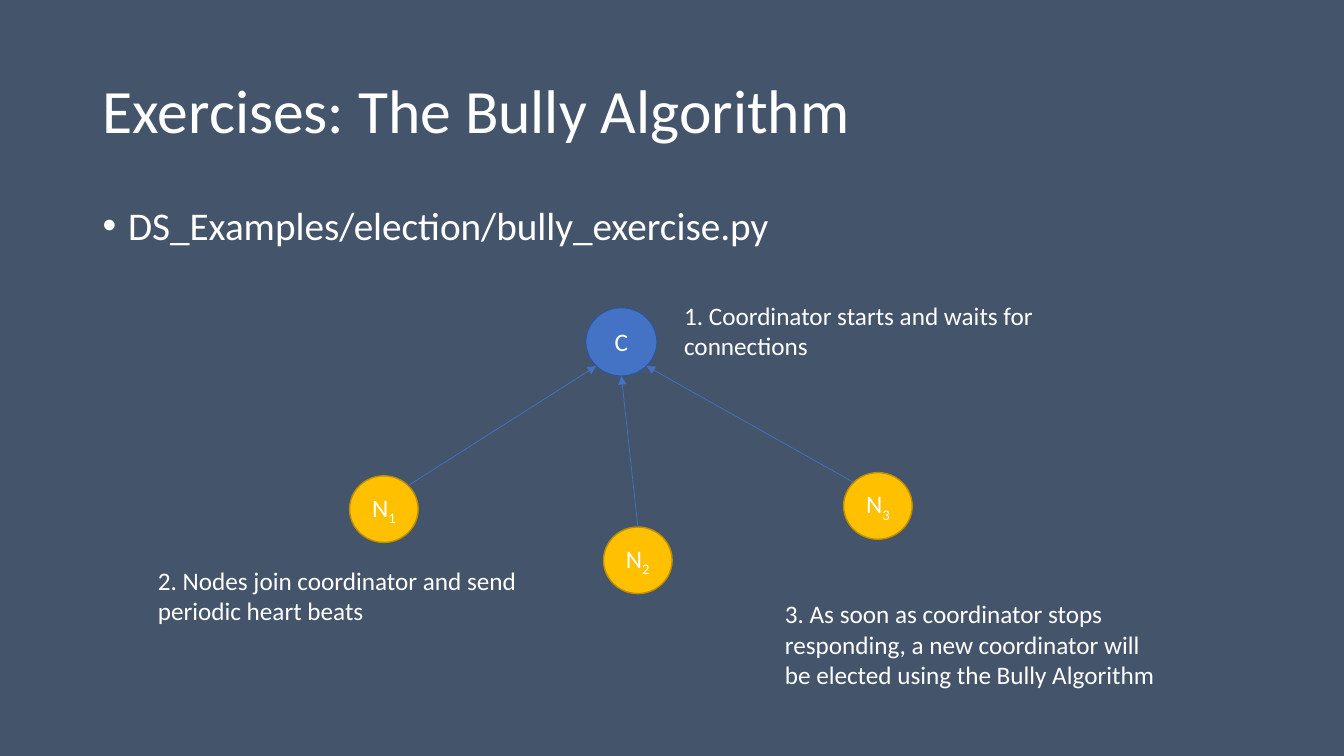
from math import cos, radians, sin

from lxml import etree
from pptx import Presentation
from pptx.dml.color import RGBColor
from pptx.enum.shapes import MSO_CONNECTOR, MSO_SHAPE
from pptx.enum.text import MSO_ANCHOR, PP_ALIGN
from pptx.oxml.ns import qn
from pptx.util import Cm, Pt

OVAL = MSO_SHAPE.OVAL
STRAIGHT = MSO_CONNECTOR.STRAIGHT
TOP = MSO_ANCHOR.TOP
MIDDLE = MSO_ANCHOR.MIDDLE
LEFT = PP_ALIGN.LEFT
CENTER = PP_ALIGN.CENTER

BACKGROUND = "44546A"
WHITE = "FFFFFF"
BLUE = "4472C4"
DARK_BLUE = "325491"
YELLOW = "FFC000"
DARK_YELLOW = "BD8E00"


def color(hex_string):
    return RGBColor.from_string(hex_string)


def write(frame, text, subscript="", size=18, align=LEFT, anchor=TOP,
          spacing=1.0, before=0, bullet=None):
    frame.word_wrap = True
    frame.vertical_anchor = anchor
    paragraph = frame.paragraphs[0]
    paragraph.alignment = align
    paragraph.line_spacing = spacing
    paragraph.space_before = Pt(before)
    for part, baseline in ((text, None), (subscript, "-25000")):
        if not part:
            continue
        run = paragraph.add_run()
        run.text = part
        run.font.name = "Calibri"
        run.font.size = Pt(size)
        run.font.color.rgb = color(WHITE)
        if baseline:
            run.font._element.set("baseline", baseline)
    if bullet:
        properties = paragraph._p.get_or_add_pPr()
        indent = Cm(0.64)
        properties.set("marL", str(indent))
        properties.set("indent", str(-indent))
        etree.SubElement(properties, qn("a:buFont"), typeface="Arial")
        etree.SubElement(properties, qn("a:buChar"), char=bullet)


def rim_point(circle, degrees):
    angle = radians(degrees)
    x = circle.left + circle.width / 2 * (1 + cos(angle))
    y = circle.top + circle.height / 2 * (1 - sin(angle))
    return round(x), round(y)


class SlideBuilder:
    def __init__(self, slide, background):
        self.slide = slide
        fill = slide.background.fill
        fill.solid()
        fill.fore_color.rgb = color(background)

    def text(self, text, left, top, width, height, **style):
        box = self.slide.shapes.add_textbox(
            Cm(left), Cm(top), Cm(width), Cm(height))
        write(box.text_frame, text, **style)

    def circle(self, text, left, top, width, height, fill, line, subscript=""):
        shape = self.slide.shapes.add_shape(
            OVAL, Cm(left), Cm(top), Cm(width), Cm(height))
        shape.shadow.inherit = False
        shape.fill.solid()
        shape.fill.fore_color.rgb = color(fill)
        shape.line.color.rgb = color(line)
        shape.line.width = Pt(1)
        frame = shape.text_frame
        frame.margin_left = frame.margin_right = 0
        write(frame, text, subscript, align=CENTER, anchor=MIDDLE)
        return shape

    def arrow(self, start, end, line):
        connector = self.slide.shapes.add_connector(STRAIGHT, *start, *end)
        connector.line.color.rgb = color(line)
        connector.line.width = Pt(0.5)
        etree.SubElement(connector.line._get_or_add_ln(), qn("a:tailEnd"),
                         type="triangle")
        etree.SubElement(connector._element.spPr, qn("a:effectLst"))


presentation = Presentation()
presentation.slide_width = Cm(33.87)
presentation.slide_height = Cm(19.05)
blank_layout = presentation.slide_layouts[6]
builder = SlideBuilder(presentation.slides.add_slide(blank_layout), BACKGROUND)

builder.text("Exercises: The Bully Algorithm", 2.34, 1.02, 29.21, 3.68,
             size=44, anchor=MIDDLE, spacing=0.9)
builder.text("DS_Examples/election/bully_exercise.py", 2.34, 5.08, 29.21, 1.42,
             size=28, spacing=0.9, before=10, bullet="•")

coordinator = builder.circle("C", 14.76, 7.75, 1.8, 1.73, BLUE, DARK_BLUE)
nodes = [
    ("1", 8.81, 11.99, 45, 225),
    ("2", 15.21, 13.28, 90, 270),
    ("3", 21.26, 11.91, 135, 315),
]
for number, left, top, node_angle, coordinator_angle in nodes:
    node = builder.circle("N", left, top, 1.73, 1.68, YELLOW, DARK_YELLOW,
                          subscript=number)
    builder.arrow(rim_point(node, node_angle),
                  rim_point(coordinator, coordinator_angle), BLUE)

steps = [
    ("1. Coordinator starts and waits for connections",
     16.99, 7.44, 10.59, 1.8),
    ("2. Nodes join coordinator and send periodic heart beats",
     3.73, 14.12, 9.91, 1.8),
    ("3. As soon as coordinator stops responding, a new coordinator will "
     "be elected using the Bully Algorithm",
     19.53, 14.96, 9.91, 2.57),
]
for step in steps:
    builder.text(*step)

presentation.save("out.pptx")
